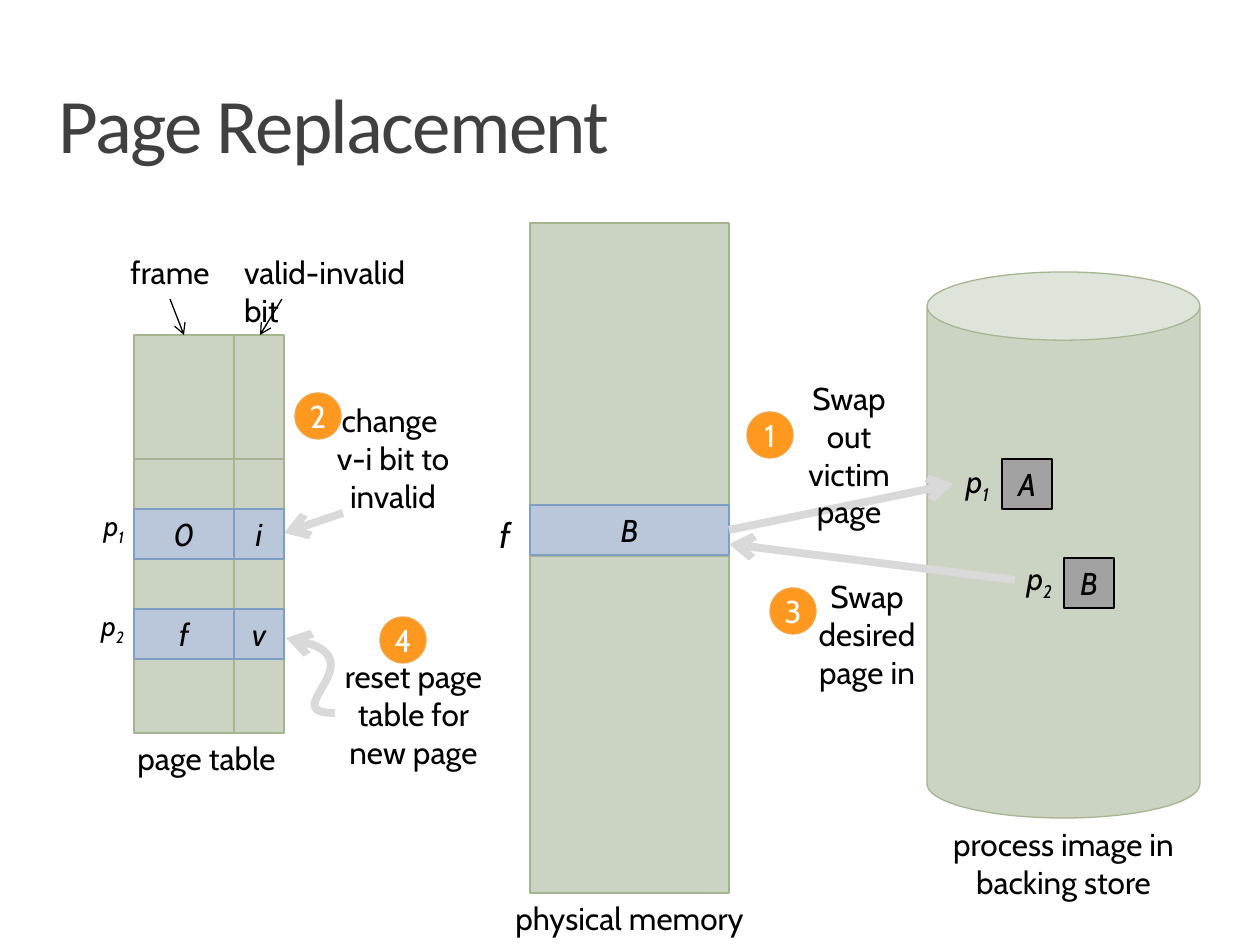
"""Builds the page replacement slide: page table, physical memory and backing store."""
from lxml import etree
from pptx import Presentation
from pptx.dml.color import RGBColor
from pptx.enum.shapes import MSO_CONNECTOR, MSO_SHAPE
from pptx.enum.text import MSO_ANCHOR, PP_ALIGN
from pptx.oxml.ns import qn
from pptx.util import Emu, Pt

RECTANGLE, OVAL, CAN = MSO_SHAPE.RECTANGLE, MSO_SHAPE.OVAL, MSO_SHAPE.CAN
STRAIGHT = MSO_CONNECTOR.STRAIGHT
LEFT, CENTER, RIGHT = PP_ALIGN.LEFT, PP_ALIGN.CENTER, PP_ALIGN.RIGHT
TOP, MIDDLE = MSO_ANCHOR.TOP, MSO_ANCHOR.MIDDLE

GREEN = ("CBD3C2", "A5B592")
BLUE = ("BAC7DA", "809EC2")
GRAY = ("A2A2A2", "000000")
ORANGE = ("FF981E", "F3A447")
BLACK, WHITE, PALE, TITLE_COLOR = "000000", "FFFFFF", "D9D9D9", "404040"
NO_INSETS, TEXT_INSETS = (0, 0, 0, 0), (13, 6, 13, 6)

TITLE = "Page Replacement"
TABLE_LEFT, TABLE_TOP = 134, 335
COLUMN_WIDTHS = (100, 50)
TABLE_ROWS = [(124, None), (50, None), (50, "0i"), (50, None), (50, "fv"), (74, None)]
MEMORY_LEFT, MEMORY_WIDTH = 530, 199
MEMORY_PARTS = [(223, 285, "", GREEN), (556, 337, "", GREEN), (505, 50, "B", BLUE)]
STORE = (927, 272, 273, 546)
STORED_PAGES = [("A", 1002, 459), ("B", 1064, 558)]
PAGE_SIZE, STEP_SIZE = 50, 46
STEPS = [("1", 747, 412), ("2", 295, 393), ("3", 770, 588), ("4", 380, 617)]
CAPTIONS = [
    ("physical memory", 481, 893, 297, 50, CENTER),
    ("page table", 58, 733, 297, 50, CENTER),
    ("frame", 109, 247, 122, 50, CENTER),
    ("valid-invalid bit", 231, 247, 223, 50, LEFT),
    ("Swap out victim page", 776, 373, 146, 127, CENTER),
    ("Swap desired page in", 794, 571, 146, 127, CENTER),
    ("change \vv-i bit to invalid", 320, 395, 146, 127, CENTER),
    ("reset page table for new page", 314, 651, 199, 127, CENTER),
    ("process image in backing store", 915, 819, 297, 89, CENTER),
]
LABELS = [
    ("p", "1", (59, 509, 75, 47), 16, RIGHT, TOP, (0, 0, 10, 0)),
    ("p", "2", (59, 609, 75, 47), 16, RIGHT, TOP, (0, 0, 10, 0)),
    ("f", "", (455, 513, 75, 47), 20, RIGHT, TOP, (0, 0, 20, 0)),
    ("p", "1", (953, 459, 49, 49), 18, CENTER, MIDDLE, NO_INSETS),
    ("p", "2", (1015, 556, 49, 49), 18, CENTER, MIDDLE, NO_INSETS),
]
ARROWS = [
    ((282, 299), (260, 335), BLACK, 0.75),
    ((170, 299), (184, 335), BLACK, 0.75),
    ((729, 530), (953, 484), PALE, 4.5),
    ((1015, 580), (729, 544), PALE, 4.5),
    ((343, 513), (284, 533), PALE, 4.5),
]
CURVE = [(335, 713), (270, 714), (391, 654), (286, 638)]
CURVE_STEPS = 24


def px(length):
    return Emu(round(length * 914400 / 126))


def color(value):
    return RGBColor.from_string(value)


def write(shape, text, size=18, tint=BLACK, italic=False, align=CENTER,
          anchor=MIDDLE, insets=NO_INSETS, subscript="", font="Cabin"):
    frame = shape.text_frame
    frame.word_wrap = True
    frame.vertical_anchor = anchor
    (frame.margin_left, frame.margin_top,
     frame.margin_right, frame.margin_bottom) = map(px, insets)
    paragraph = frame.paragraphs[0]
    paragraph.text = text
    paragraph.alignment = align
    paragraph.font.name = font
    paragraph.font.size = Pt(size)
    paragraph.font.italic = italic
    paragraph.font.color.rgb = color(tint)
    if subscript:
        run = paragraph.add_run()
        run.text = subscript
        run.font._element.set("baseline", "-25000")
    return paragraph


def add_box(slide, kind, box, colors, text="", **style):
    shape = slide.shapes.add_shape(kind, *map(px, box))
    shape.shadow.inherit = False
    shape.fill.solid()
    shape.fill.fore_color.rgb = color(colors[0])
    shape.line.color.rgb = color(colors[1])
    shape.line.width = Pt(0.75)
    if text:
        write(shape, text, **style)


def add_text(slide, box, text, **style):
    write(slide.shapes.add_textbox(*map(px, box)), text, **style)


def style_arrow(shape, tint, width):
    shape.line.color.rgb = color(tint)
    shape.line.width = Pt(width)
    etree.SubElement(shape.line._get_or_add_ln(), qn("a:tailEnd"), type="arrow")
    etree.SubElement(shape._element.spPr, qn("a:effectLst"))


def curve_point(t):
    weights = ((1 - t) ** 3, 3 * t * (1 - t) ** 2, 3 * t * t * (1 - t), t ** 3)
    return tuple(px(sum(w * point[axis] for w, point in zip(weights, CURVE)))
                 for axis in (0, 1))


def add_curve(slide):
    points = [curve_point(step / CURVE_STEPS) for step in range(CURVE_STEPS + 1)]
    builder = slide.shapes.build_freeform(*points[0])
    builder.add_line_segments(points[1:], close=False)
    shape = builder.convert_to_shape()
    shape.fill.background()
    style_arrow(shape, PALE, 4.5)


def add_page_table(slide, highlighted):
    top = TABLE_TOP
    for height, values in TABLE_ROWS:
        if bool(values) == highlighted:
            left = TABLE_LEFT
            for width, value in zip(COLUMN_WIDTHS, values or ("", "")):
                add_box(slide, RECTANGLE, (left, top, width, height),
                        BLUE if highlighted else GREEN, value, italic=True)
                left += width
        top += height


def main():
    presentation = Presentation()
    presentation.slide_width, presentation.slide_height = px(1260), px(945)
    slide = presentation.slides.add_slide(presentation.slide_layouts[5])

    title = slide.shapes.title
    title.left, title.top, title.width, title.height = map(px, (59, 89, 1142, 112))
    heading = write(title, TITLE, 44, TITLE_COLOR, align=LEFT, anchor=TOP,
                    insets=(0, 5, 0, 0), font="Calibri")
    heading.line_spacing = 0.8
    heading.runs[0].font._element.set("spc", "-100")

    add_page_table(slide, highlighted=False)
    add_box(slide, CAN, STORE, GREEN)
    for name, left, top in STORED_PAGES:
        add_box(slide, RECTANGLE, (left, top, PAGE_SIZE, PAGE_SIZE), GRAY, name, italic=True)
    for top, height, text, colors in MEMORY_PARTS:
        add_box(slide, RECTANGLE, (MEMORY_LEFT, top, MEMORY_WIDTH, height),
                colors, text, italic=True)
    for text, subscript, box, size, align, anchor, insets in LABELS:
        add_text(slide, box, text, subscript=subscript, size=size, italic=True,
                 align=align, anchor=anchor, insets=insets)
    for start, end, tint, width in ARROWS:
        connector = slide.shapes.add_connector(STRAIGHT, *map(px, start + end))
        style_arrow(connector, tint, width)
    for text, *box, align in CAPTIONS:
        add_text(slide, box, text, align=align, anchor=TOP, insets=TEXT_INSETS)
    for number, left, top in STEPS:
        add_box(slide, OVAL, (left, top, STEP_SIZE, STEP_SIZE), ORANGE, number, tint=WHITE)
    add_page_table(slide, highlighted=True)
    add_curve(slide)
    presentation.save("out.pptx")


if __name__ == "__main__":
    main()
